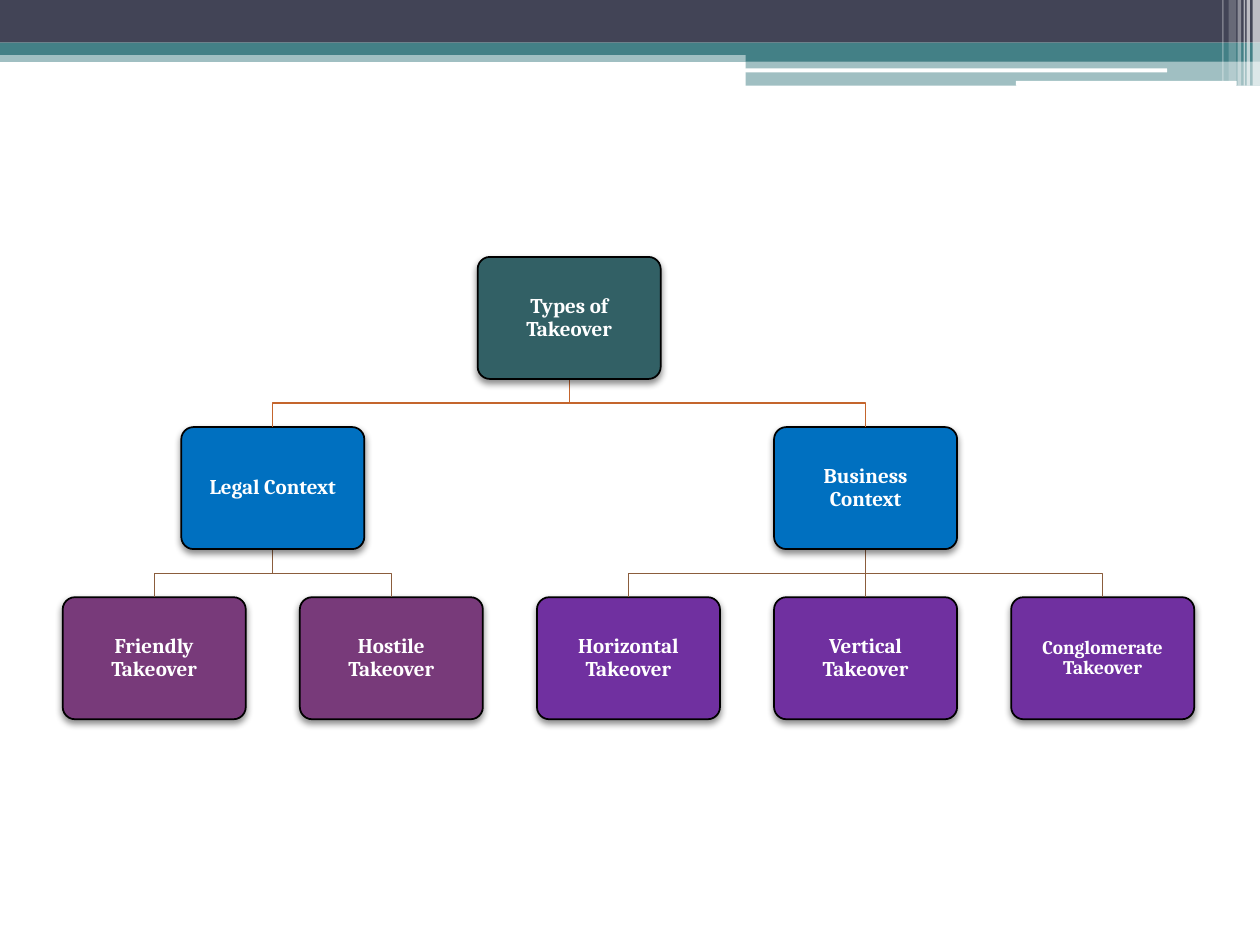
from lxml import etree
from pptx import Presentation
from pptx.dml.color import RGBColor
from pptx.enum.shapes import MSO_CONNECTOR, MSO_SHAPE
from pptx.enum.text import MSO_ANCHOR, PP_ALIGN
from pptx.oxml import parse_xml
from pptx.oxml.ns import nsdecls, qn
from pptx.util import Cm, Pt

RECTANGLE = MSO_SHAPE.RECTANGLE
ROUNDED = MSO_SHAPE.ROUNDED_RECTANGLE
WHITE, BLACK, NAVY, TEAL = "FFFFFF", "000000", "424456", "438086"

# Header bands: shape, left, top, width, height (cm), colour, opacity (%)
HEADER = [
    (RECTANGLE, 0, 1.02, 25.4, 0.23, TEAL, 50),
    (RECTANGLE, 0, 0, 25.4, 0.86, NAVY, 100),
    (RECTANGLE, 0, 0.86, 25.4, 0.25, TEAL, 100),
    (RECTANGLE, 15.03, 0.99, 10.37, 0.25, TEAL, 100),
    (RECTANGLE, 15.03, 1.23, 10.37, 0.5, TEAL, 50),
    (ROUNDED, 15.02, 1.38, 8.51, 0.08, WHITE, 100),
    (ROUNDED, 20.48, 1.63, 4.45, 0.1, WHITE, 100),
]
# White stripes at the right end: left, width, height (cm), opacity (%)
STRIPES = [
    (25.25, 0.15, 1.73, 65),
    (25.13, 0.07, 1.73, 65),
    (25.07, 0.03, 1.73, 60),
    (24.95, 0.07, 1.73, 40),
    (24.77, 0.15, 1.63, 20),
    (24.64, 0.03, 1.63, 30),
]

# Each node: text, fill, font size, children
TREE = ("Types of Takeover", "326065", 12, [
    ("Legal Context", "0070C0", 12, [
        ("Friendly Takeover", "783A7A", 12, []),
        ("Hostile Takeover", "783A7A", 12, []),
    ]),
    ("Business\vContext", "0070C0", 12, [
        ("Horizontal Takeover", "7030A0", 12, []),
        ("Vertical Takeover", "7030A0", 12, []),
        ("Conglomerate Takeover", "7030A0", 11, []),
    ]),
])
LINK_COLOURS = ["C4652D", "8B5D3D"]  # by level of the parent
LEAF_LEVEL = 2
BOX_WIDTH, BOX_HEIGHT = 3.69, 2.46
FIRST_CENTRE, LEAF_PITCH = 3.11, 4.78
TREE_TOP, ROW_PITCH = 5.18, 3.43


def rgb(colour):
    return RGBColor.from_string(colour)


def add_block(slide, kind, left, top, width, height, colour, opacity=100):
    """Add a filled shape without outline or shadow."""
    shape = slide.shapes.add_shape(kind, Cm(left), Cm(top), Cm(width), Cm(height))
    shape.shadow.inherit = False
    shape.fill.solid()
    shape.fill.fore_color.rgb = rgb(colour)
    shape.line.fill.background()
    if opacity < 100:
        fill_colour = shape.fill._xPr.find(qn("a:solidFill"))[0]
        etree.SubElement(fill_colour, qn("a:alpha"), val=str(opacity * 1000))
    return shape


def add_soft_shadow(shape):
    effects = shape._element.spPr.find(qn("a:effectLst"))
    effects.append(parse_xml(
        f'<a:outerShdw {nsdecls("a")} blurRad="{Pt(4)}" dist="{Pt(2)}" dir="5400000"'
        f' rotWithShape="0"><a:srgbClr val="{BLACK}"><a:alpha val="45000"/>'
        '</a:srgbClr></a:outerShdw>'))


def add_box(slide, centre, top, text, colour, size):
    shape = add_block(slide, ROUNDED, centre - BOX_WIDTH / 2, top,
                      BOX_WIDTH, BOX_HEIGHT, colour)
    shape.adjustments[0] = 0.1
    shape.line.color.rgb = rgb(BLACK)
    shape.line.width = Pt(1)
    add_soft_shadow(shape)
    frame = shape.text_frame
    frame.word_wrap = True
    frame.vertical_anchor = MSO_ANCHOR.MIDDLE
    frame.margin_left = frame.margin_right = Cm(0.2)
    frame.margin_top = frame.margin_bottom = Cm(0.2)
    frame.text = text
    paragraph = frame.paragraphs[0]
    paragraph.alignment = PP_ALIGN.CENTER
    paragraph.line_spacing = 0.9
    paragraph.font.name = "Cambria"
    paragraph.font.size = Pt(size)
    paragraph.font.bold = True
    paragraph.font.color.rgb = rgb(WHITE)


def add_link(slide, parent, child, top, colour):
    """Join a parent's bottom edge to a child's top edge, bending half way."""
    bottom = top + ROW_PITCH - BOX_HEIGHT
    if abs(parent - child) < 0.01:
        link = slide.shapes.add_connector(
            MSO_CONNECTOR.STRAIGHT, Cm(parent), Cm(top), Cm(child), Cm(bottom))
        etree.SubElement(link._element.spPr, qn("a:effectLst"))
    else:
        middle = (top + bottom) / 2
        builder = slide.shapes.build_freeform(Cm(parent), Cm(top))
        builder.add_line_segments(
            [(Cm(parent), Cm(middle)), (Cm(child), Cm(middle)), (Cm(child), Cm(bottom))],
            close=False)
        link = builder.convert_to_shape()
        link.shadow.inherit = False
        link.fill.background()
    link.line.color.rgb = rgb(colour)
    link.line.width = Pt(0.75)


def add_tree(slide, node, leaf_centres, level=0):
    """Draw a node over the middle of its children and return its centre."""
    text, colour, size, children = node
    top = TREE_TOP + level * ROW_PITCH
    if level == LEAF_LEVEL:
        centre = next(leaf_centres)
    else:
        centres = [add_tree(slide, child, leaf_centres, level + 1) for child in children]
        centre = (centres[0] + centres[-1]) / 2
        for child_centre in centres:
            add_link(slide, centre, child_centre, top + BOX_HEIGHT, LINK_COLOURS[level])
    add_box(slide, centre, top, text, colour, size)
    return centre


def main():
    presentation = Presentation()
    presentation.slide_width, presentation.slide_height = Cm(25.4), Cm(19.05)
    slide = presentation.slides.add_slide(presentation.slide_layouts[6])
    for band in HEADER:
        add_block(slide, *band)
    for left, width, height, opacity in STRIPES:
        add_block(slide, RECTANGLE, left, 0, width, height, WHITE, opacity)
    leaf_centres = (FIRST_CENTRE + index * LEAF_PITCH for index in range(5))
    add_tree(slide, TREE, leaf_centres)
    presentation.save("out.pptx")


if __name__ == "__main__":
    main()
